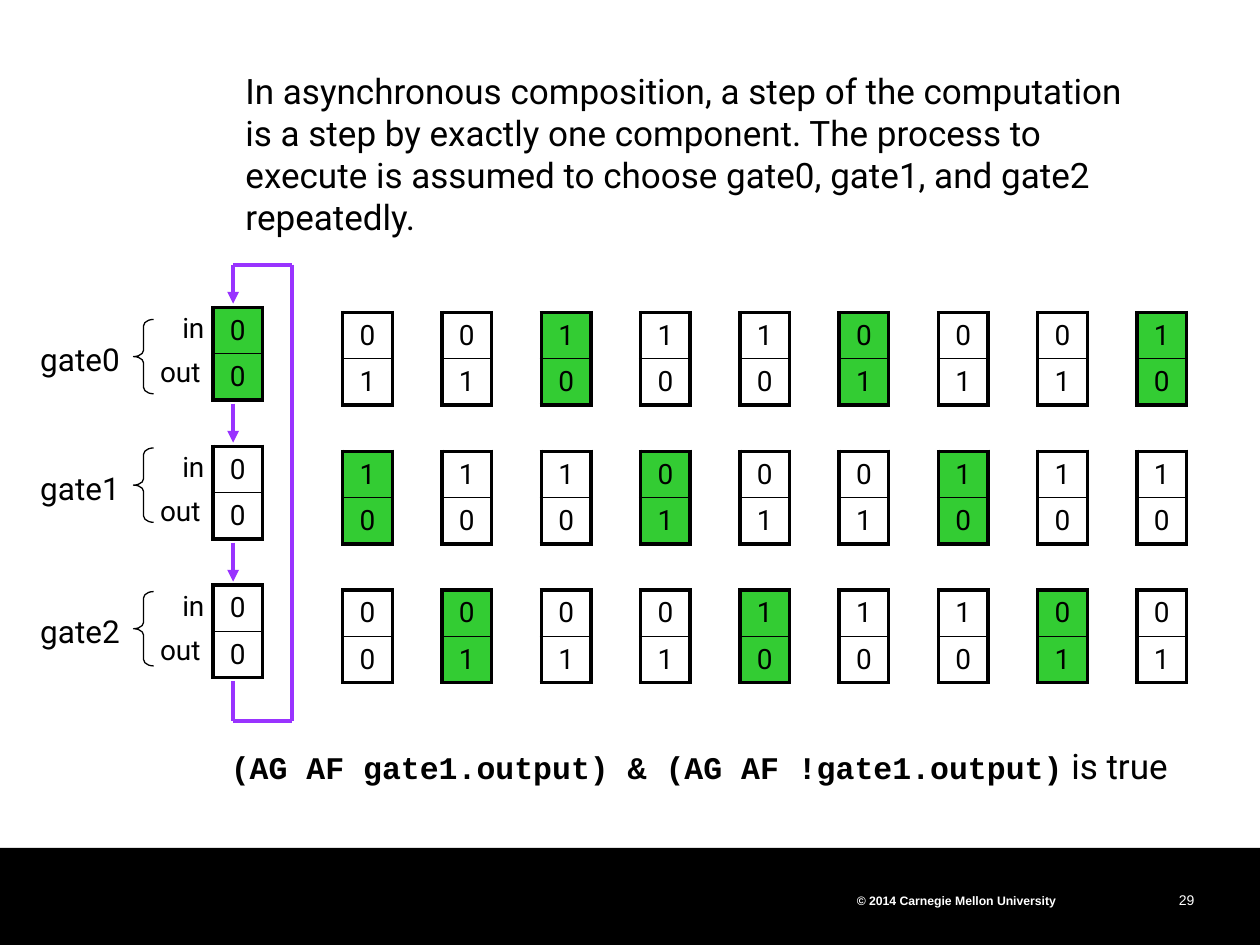
from lxml.etree import SubElement
from pptx import Presentation
from pptx.dml.color import RGBColor
from pptx.enum.shapes import MSO_CONNECTOR, MSO_SHAPE
from pptx.enum.text import MSO_ANCHOR, PP_ALIGN
from pptx.oxml.ns import qn
from pptx.util import Inches, Pt

COLORS = {"ink": "000000", "paper": "FFFFFF", "active": "33CC33", "flow": "9933FF"}
COLUMNS, ROWS = 100, 75

# One string per step: the in and out bits of gate0, gate1 and gate2.
STEPS = ["000000", "011000", "011001", "101001", "100101",
         "100110", "010110", "011010", "011001", "101001"]
GATES = 3
GATE_PITCH = 11.03
STEP_PITCH = 7.88
THICK, THIN = 2.25, 1


def rgb(name):
    return RGBColor.from_string(COLORS[name])


def write(paragraph, text, size=16, font="Roboto", color="ink", bold=False,
          align=PP_ALIGN.CENTER, spacing=None):
    """Append one formatted run to the paragraph."""
    paragraph.alignment = align
    if spacing:
        paragraph.line_spacing = spacing
    run = paragraph.add_run()
    run.text = text
    run.font.size, run.font.name, run.font.bold = Pt(size), font, bold
    run.font.color.rgb = rgb(color)


def set_borders(cell, left, right, top, bottom):
    """Draw the four borders in points; None leaves a side open."""
    properties = cell._tc.get_or_add_tcPr()
    for side, width in zip("LRTB", (left, right, top, bottom)):
        border = SubElement(properties, qn(f"a:ln{side}"))
        if width is None:
            SubElement(border, qn("a:noFill"))
        else:
            border.set("w", str(Pt(width)))
            fill = SubElement(border, qn("a:solidFill"))
            SubElement(fill, qn("a:srgbClr"), val=COLORS["ink"])


class GridSlide:
    """Places elements on a grid of 100 columns by 75 rows."""

    def __init__(self, presentation):
        self.column = presentation.slide_width / COLUMNS
        self.row = presentation.slide_height / ROWS
        self.shapes = presentation.slides.add_slide(
            presentation.slide_layouts[6]).shapes

    def place(self, x, y, width, height):
        return (round(x * self.column), round(y * self.row),
                round(width * self.column), round(height * self.row))

    def text(self, area, *runs, inset=None, **style):
        """Each run is a string, or a pair of string and its own format."""
        frame = self.shapes.add_textbox(*self.place(*area)).text_frame
        frame.word_wrap = True
        frame.vertical_anchor = MSO_ANCHOR.MIDDLE
        if inset is not None:
            frame.margin_left = frame.margin_right = Inches(inset)
            frame.margin_top = frame.margin_bottom = Inches(inset)
        for run in runs:
            words, own = (run, {}) if isinstance(run, str) else run
            write(frame.paragraphs[0], words, **{**style, **own})

    def shape(self, preset, area, fill=None, line=None):
        shape = self.shapes.add_shape(preset, *self.place(*area))
        shape.shadow.inherit = False
        if fill:
            shape.fill.solid()
            shape.fill.fore_color.rgb = rgb(fill)
        else:
            shape.fill.background()
        if line:
            shape.line.color.rgb = rgb(line)
            shape.line.width = Pt(0.75)
        else:
            shape.line.fill.background()
        return shape

    def line(self, start, end, arrow=False):
        connector = self.shapes.add_connector(
            MSO_CONNECTOR.STRAIGHT, *self.place(*start, *end))
        connector.line.color.rgb = rgb("flow")
        connector.line.width = Pt(THICK)
        if arrow:
            SubElement(connector.line._get_or_add_ln(), qn("a:tailEnd"), type="triangle")
        SubElement(connector._element.spPr, qn("a:effectLst"))

    def state(self, x, y, bits, active_gate):
        """A column of in/out cells, with an open row between gates."""
        row_count = GATES * 3 - 1
        table = self.shapes.add_table(
            row_count, 1, *self.place(x, y, 3.94, row_count * GATE_PITCH / 3)).table
        table.first_row = table.horz_banding = False
        for index in range(row_count):
            gate, part = divmod(index, 3)
            cell = table.cell(index, 0)
            cell.margin_top = cell.margin_bottom = 0
            cell.vertical_anchor = MSO_ANCHOR.MIDDLE
            if part == 2:
                set_borders(cell, None, None, THICK, THICK)
            else:
                edges = (THICK, THIN) if part == 0 else (THIN, THICK)
                set_borders(cell, THICK, THICK, *edges)
                write(cell.text_frame.paragraphs[0], bits[gate * 2 + part])
            if part < 2 and gate == active_gate:
                cell.fill.solid()
                cell.fill.fore_color.rgb = rgb("active")
            else:
                cell.fill.background()


def add_footer(slide):
    slide.shape(MSO_SHAPE.RECTANGLE, (0, 67.3, COLUMNS, 7.7), fill="ink")
    slide.text((85.6, 70.3, 9.2, 1.8), "29", inset=0, size=8, font="Arial",
               color="paper", align=PP_ALIGN.RIGHT, spacing=Pt(13))
    slide.text((67.5, 69.8, 25, 2.8), "© 2014 Carnegie Mellon University",
               inset=0.05, size=7, font="Arial", color="paper", bold=True,
               align=PP_ALIGN.LEFT, spacing=1.5)


def add_gate_labels(slide):
    for gate, label_top in enumerate((26.5, 36.7, 48.1)):
        offset = gate * GATE_PITCH
        slide.text((13, 24.1 + offset, 4.7, 3.7), "in")
        slide.text((10.6, 27.6 + offset, 6.3, 3.7), "out", align=PP_ALIGN.RIGHT)
        slide.text((2, label_top, 8.7, 4), f"gate{gate}", size=18)
        brace = slide.shape(MSO_SHAPE.LEFT_BRACE,
                            (10.6, label_top - 1.15, 1.6, 5.9), line="ink")
        brace.adjustments[0] = 0.316


def add_cycle(slide):
    left, right, top, bottom = 18.5, 23.2, 21, 57.2
    for gate in range(GATES + 1):
        start = top + gate * GATE_PITCH
        slide.line((left, start), (left, start + 3.1), arrow=gate < GATES)
    slide.line((right, top), (right, bottom))
    for y in (top, bottom):
        slide.line((left, y), (right, y))


def main():
    presentation = Presentation()
    presentation.slide_width, presentation.slide_height = Inches(10), Inches(7.5)
    slide = GridSlide(presentation)
    add_footer(slide)
    add_gate_labels(slide)
    slide.state(16.9, 24.4, STEPS[0], 0)
    add_cycle(slide)
    for step, bits in enumerate(STEPS[1:], start=1):
        slide.state(27.2 + (step - 1) * STEP_PITCH, 24.8, bits, step % GATES)
    slide.text((18.5, 6.7, 74, 11),
               "In asynchronous composition, a step of the computation is a step by "
               "exactly one component. The process to execute is assumed to choose "
               "gate0, gate1, and gate2 repeatedly.", size=20, align=PP_ALIGN.LEFT)
    slide.text((16.9, 58.6, 77.2, 4.3),
               ("(AG AF gate1.output) & (AG AF !gate1.output)",
                {"size": 18, "font": "Courier New", "bold": True}),
               " is true", size=20)
    presentation.save("out.pptx")


if __name__ == "__main__":
    main()
